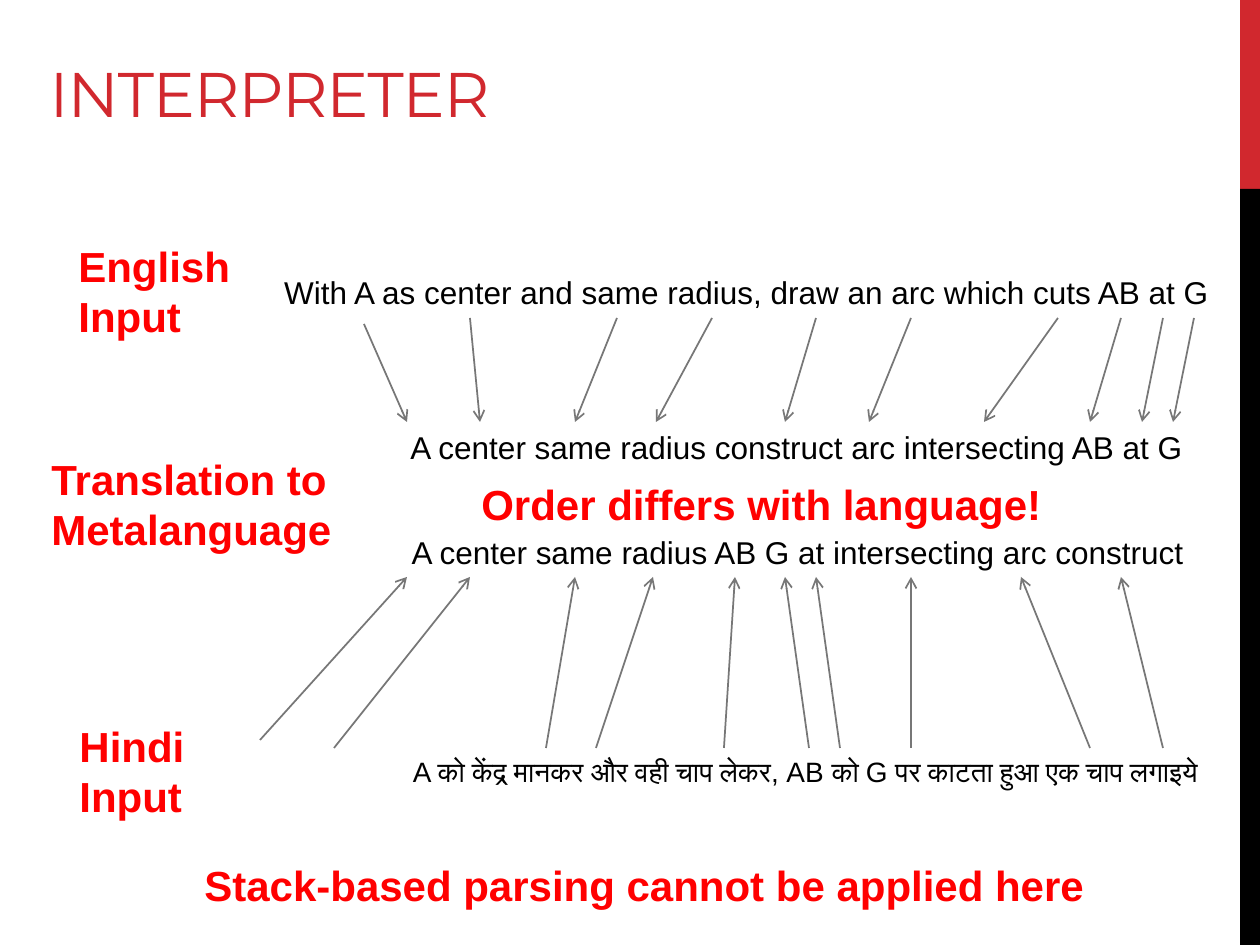
from dataclasses import dataclass

from lxml.etree import SubElement
from pptx import Presentation
from pptx.dml.color import RGBColor
from pptx.enum.shapes import MSO_CONNECTOR as Connector, MSO_SHAPE as Shape
from pptx.enum.text import MSO_ANCHOR as Anchor, MSO_AUTO_SIZE as AutoSize, PP_ALIGN as Align
from pptx.oxml.ns import qn
from pptx.util import Emu, Pt


@dataclass(frozen=True)
class Theme:
    """Colours, fonts and type sizes of the slide."""
    accent: RGBColor = RGBColor(0xD1, 0x28, 0x2E)
    label: RGBColor = RGBColor(0xFF, 0x00, 0x00)
    ink: RGBColor = RGBColor(0x00, 0x00, 0x00)
    arrow: RGBColor = RGBColor(0x77, 0x77, 0x77)
    title_font: str = "Montserrat"
    body_font: str = "Arial"
    title_size: int = 36
    label_size: int = 24
    sentence_size: int = 18
    hindi_size: int = 16
    title_spacing: int = -60
    arrow_width: int = 1


THEME = Theme()
SLIDE_SIZE = (1260, 945)
EMU_PER_PX = 9144000 / 1260

SIDEBAR = [
    ((1240, 0, 20, 189), THEME.accent),
    ((1240, 189, 20, 756), THEME.ink),
]
SENTENCES = [
    ("With A as center and same radius, draw an arc which cuts AB at G",
     (92, 267, 1129, 50), THEME.sentence_size),
    ("A center same radius construct arc intersecting AB at G",
     (66, 422, 1129, 50), THEME.sentence_size),
    ("A center same radius AB G at intersecting arc construct",
     (67, 527, 1129, 50), THEME.sentence_size),
    ("A को केंद्र मानकर और वही चाप लेकर, AB को G पर काटता हुआ एक चाप लगाइये ",
     (88, 748, 1129, 47), THEME.hindi_size),
]
LABELS = [
    ("English\nInput", (66, 234, 194, 114)),
    ("Translation to\nMetalanguage", (39, 447, 325, 114)),
    ("Hindi\nInput", (67, 714, 194, 114)),
    ("Order differs with language!", (469, 472, 716, 63)),
    ("Stack-based parsing cannot be applied here", (192, 853, 908, 63)),
]
ENGLISH_WORDS = [(364, 324)] + [
    (x, 318) for x in (470, 617, 712, 816, 911, 1058, 1121, 1163, 1194)]
ENGLISH_TARGETS = [
    (x, 422) for x in (407, 480, 575, 656, 785, 869, 984, 1090, 1142, 1173)]
HINDI_WORDS = [(260, 740)] + [
    (x, 748) for x in (334, 546, 596, 724, 809, 840, 911, 1090, 1163)]
HINDI_TARGETS = [
    (x, 577) for x in (407, 470, 575, 653, 735, 785, 816, 911, 1021, 1121)]


def px(*lengths):
    """Turn pixel lengths into EMU."""
    return [Emu(round(length * EMU_PER_PX)) for length in lengths]


def format_text(text_frame, font_name, size, color, bold=False, align=Align.LEFT):
    """Give every paragraph and run of a text frame one look."""
    for paragraph in text_frame.paragraphs:
        paragraph.alignment = align
        for run in paragraph.runs:
            font = run.font
            font.name, font.size, font.bold = font_name, Pt(size), bold
            font.color.rgb = color


def set_title(slide, text, box):
    """Fill, move and format the title placeholder."""
    title = slide.shapes.title
    title.left, title.top, title.width, title.height = px(*box)
    text_frame = title.text_frame
    text_frame.text = text
    text_frame.auto_size = AutoSize.NONE
    text_frame.vertical_anchor = Anchor.BOTTOM
    format_text(text_frame, THEME.title_font, THEME.title_size, THEME.accent)
    for run in text_frame.paragraphs[0].runs:
        run.font._element.set("spc", str(THEME.title_spacing))


def add_bar(slide, box, color):
    """Add a plain filled rectangle."""
    bar = slide.shapes.add_shape(Shape.RECTANGLE, *px(*box))
    bar.shadow.inherit = False
    bar.fill.solid()
    bar.fill.fore_color.rgb = color
    bar.line.fill.background()


def add_text(slide, text, box, size, color, bold=False, align=Align.LEFT):
    """Add a wrapping text box that grows with its text."""
    text_frame = slide.shapes.add_textbox(*px(*box)).text_frame
    text_frame.word_wrap = True
    text_frame.auto_size = AutoSize.SHAPE_TO_FIT_TEXT
    text_frame.text = text
    format_text(text_frame, THEME.body_font, size, color, bold, align)


def add_arrow(slide, start, end):
    """Add a thin straight arrow from one point to another."""
    arrow = slide.shapes.add_connector(Connector.STRAIGHT, *px(*start, *end))
    arrow.line.color.rgb = THEME.arrow
    arrow.line.width = Pt(THEME.arrow_width)
    SubElement(arrow.line._get_or_add_ln(), qn("a:tailEnd"), type="arrow")
    SubElement(arrow._element.spPr, qn("a:effectLst"))


def main():
    """Build the slide and save it."""
    presentation = Presentation()
    presentation.slide_width, presentation.slide_height = px(*SLIDE_SIZE)
    slide = presentation.slides.add_slide(presentation.slide_layouts[5])
    for box, color in SIDEBAR:
        add_bar(slide, box, color)
    set_title(slide, "INTERPRETER", (37, -53, 798, 189))
    for text, box, size in SENTENCES:
        add_text(slide, text, box, size, THEME.ink, align=Align.RIGHT)
    for words, targets in ((ENGLISH_WORDS, ENGLISH_TARGETS), (HINDI_WORDS, HINDI_TARGETS)):
        for start, end in zip(words, targets):
            add_arrow(slide, start, end)
    for text, box in LABELS:
        add_text(slide, text, box, THEME.label_size, THEME.label, bold=True)
    presentation.save("out.pptx")


if __name__ == "__main__":
    main()
